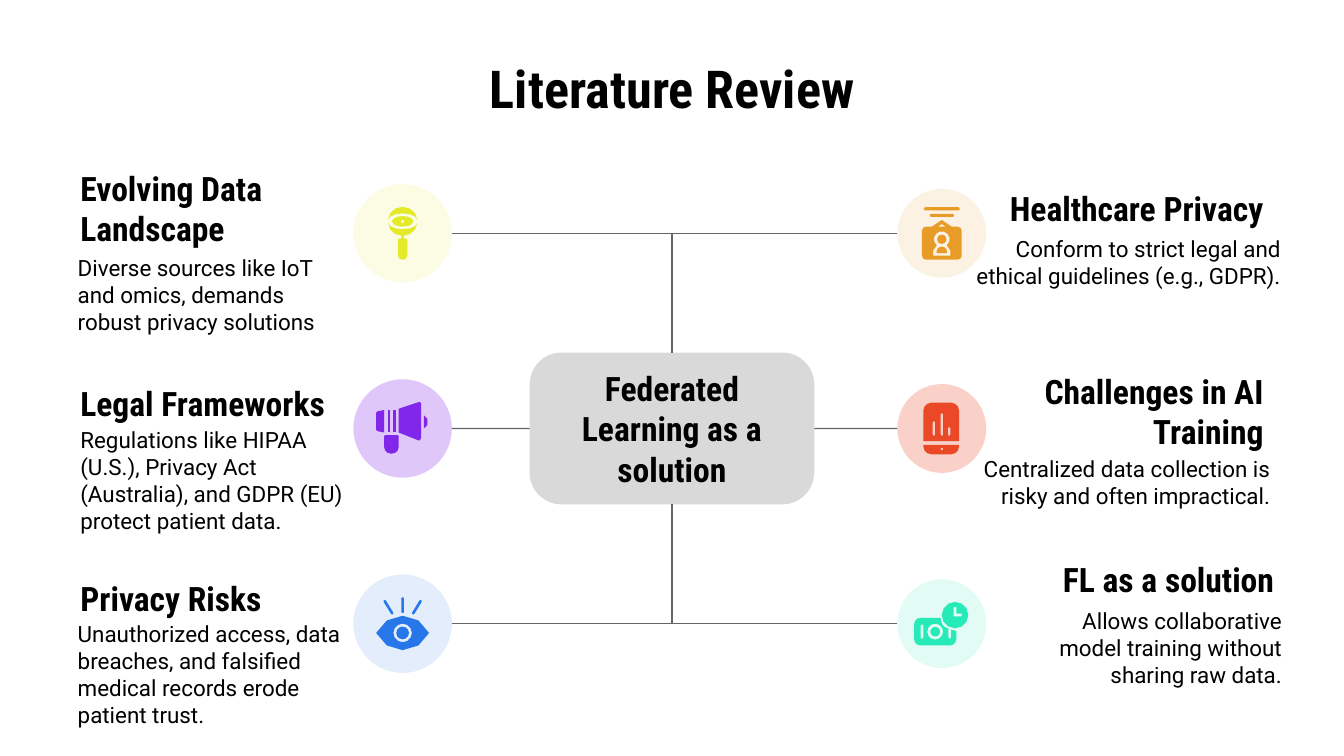
from math import atan2, cos, degrees, radians, sin

from lxml import etree
from pptx import Presentation
from pptx import util as u
from pptx.dml.color import RGBColor
from pptx.enum import shapes, text
from pptx.oxml import ns

BLACK = RGBColor(0x00, 0x00, 0x00)
GREY = RGBColor(0xD9, 0xD9, 0xD9)
LINE = RGBColor(0x66, 0x66, 0x66)
YELLOW = RGBColor(0xE4, 0xEA, 0x27)
PURPLE = RGBColor(0x80, 0x27, 0xEA)
BLUE = RGBColor(0x27, 0x76, 0xEA)
TEAL = RGBColor(0x26, 0xEA, 0xB8)
RED = RGBColor(0xEA, 0x48, 0x27)
ORANGE = RGBColor(0xE9, 0x9B, 0x27)

HEAD, BODY = "Roboto Condensed", "Roboto"
LEFT, CENTER, RIGHT = text.PP_ALIGN.LEFT, text.PP_ALIGN.CENTER, text.PP_ALIGN.RIGHT
MID_X, MID_Y, PITCH = 12.7, 8.1, 3.69
ROWS = [MID_Y + PITCH * i for i in (-1, 0, 1)]
LEFT_X, LEFT_D = 7.61, 1.86
RIGHT_X, RIGHT_D = 17.8, 1.68


def arc(cx, cy, rx, ry, start, end):
    if not rx:
        return [(cx, cy)]
    steps = max(1, round(abs(end - start) / (60 if rx <= 3 else 30)))
    angles = [radians(start + (end - start) * i / steps) for i in range(steps + 1)]
    return [(cx + rx * cos(a), cy + ry * sin(a)) for a in angles]


def circle(cx, cy, r):
    return arc(cx, cy, r, r, 0, 360)[:-1]


def capsule(x1, y1, x2, y2, r=1):
    a = degrees(atan2(y2 - y1, x2 - x1))
    return arc(x1, y1, r, r, a + 90, a + 270) + arc(x2, y2, r, r, a - 90, a + 90)


def rounded(l, t, r, b, top=0, bottom=0):
    return (arc(l + top, t + top, top, top, 180, 270)
            + arc(r - top, t + top, top, top, 270, 360)
            + arc(r - bottom, b - bottom, bottom, bottom, 0, 90)
            + arc(l + bottom, b - bottom, bottom, bottom, 90, 180))


MAGNIFIER = [
    [arc(0, -9, 8, 4, 0, 360), circle(0, -9, 1.3)],
    [arc(0, -10, 11, 10, 180, 360) + arc(0, -10, 11, 5, 360, 180)],
    [arc(0, -8, 11, 10, 180, 0) + arc(0, -8, 11, 5, 0, 180),
     rounded(-1, 2, 1, 4), rounded(-3.5, 4, 3.5, 20, 1, 3.5)],
]
MEGAPHONE = [
    [rounded(-14, 5, -3, 19, 1, 5)],
    [arc(16, -5, 3, 5, -90, 90)],
    [rounded(-7, -14, -5, 3)],
    [[(-14, -14), (-19, -13), (-20, -12), (-20, 1), (-19, 2), (-14, 3)]],
    [rounded(-11, -14, -9.5, 3)],
    [[(-3, -15), (12, -20), (13, -20), (14, -19), (14, 7), (13, 9), (12, 9), (-3, 3)]],
]
EYE = [
    [capsule(-13.5, -17, -8, -8)],
    [capsule(0, -19, 0, -9)],
    [capsule(13.5, -17, 8, -8)],
    [circle(0, 7, 4.8)],
    [arc(0, 15.9, 21.9, 21.9, 204, 336) + arc(0, -1.9, 21.9, 21.9, 24, 156),
     circle(0, 7, 7)],
]
BADGE = [
    [circle(0, 4.5, 3.5)],
    [arc(0, 14, 4, 4, 180, 360) + [(4, 15), (-4, 15)]],
    [arc(-12, -2, 3, 3, 180, 270) + [(-7.5, -5), (0, -10), (7.5, -5)]
     + arc(12, -2, 3, 3, 270, 360) + arc(12, 17, 3, 3, 0, 90) + arc(-12, 17, 3, 3, 90, 180),
     [(0, -7), (3, -5), (-3, -5)],
     arc(0, 4.5, 6, 6, 130, 410) + [(6.5, 13), (6.5, 17), (-6.5, 17), (-6.5, 13)]],
    [capsule(-12.5, -18.5, 12.5, -18.5, 1.2)],
    [capsule(-8, -13.5, 8, -13.5, 1.2)],
]
REPORT = [
    [rounded(-14, -19.5, 13, 9.5, 6), capsule(-6, -4.5, -6, 4.5),
     capsule(0, -10.5, 0, 4.5), capsule(5.5, 0, 5.5, 4.5)],
    [rounded(-14, 12.5, 13, 19.5, 0, 6), circle(0, 15.5, 1)],
]
MONEY = [
    [arc(-16, 0.5, 5, 5, 180, 270)
     + [(-1, -4.5), (0, 0), (2, 2.5), (5, 3.5), (5, 10.5), (6, 11.5), (7, 10.5), (7, 4.5),
        (11, 5.5)]
     + arc(6, 11.5, 5, 5, 0, 90) + arc(-16, 11.5, 5, 5, 90, 180),
     circle(-5, 6, 6), capsule(-15, 1.5, -15, 10.5)],
    [circle(10, -6.5, 10),
     [(9, -12.5), (11, -12.5), (11, -7.5), (15, -7.5), (15, -5.5), (9, -5.5)]],
    [circle(-5, 6, 3.7)],
]

ICONS = [
    (LEFT_X, ROWS[0], LEFT_D, YELLOW, 13, MAGNIFIER),
    (LEFT_X, ROWS[1], LEFT_D, PURPLE, 25, MEGAPHONE),
    (LEFT_X, ROWS[2], LEFT_D, BLUE, 13, EYE),
    (RIGHT_X, ROWS[0], RIGHT_D, ORANGE, 13, BADGE),
    (RIGHT_X, ROWS[1], RIGHT_D, RED, 25, REPORT),
    (RIGHT_X, ROWS[2], RIGHT_D, TEAL, 13, MONEY),
]
TOPICS = [
    (LEFT, "Evolving Data Landscape", (1.27, 3.48, 6.45, 0.91),
     "Diverse sources like IoT and omics, demands robust privacy solutions",
     (1.22, 5.11, 5.61, 0.91)),
    (LEFT, "Legal Frameworks", (1.27, 7.16, 5.51, 0.91),
     "Regulations like HIPAA (U.S.), Privacy Act (Australia), and GDPR (EU) "
     "protect patient data.", (1.27, 8.38, 5.79, 1.4)),
    (LEFT, "Privacy Risks", (1.27, 10.85, 5.51, 0.91),
     "Unauthorized access, data breaches, and falsified medical records erode "
     "patient trust.", (1.22, 12.29, 5.51, 0.91)),
    (RIGHT, "Healthcare Privacy", (18.62, 3.48, 5.51, 0.91),
     "Conform to strict legal and ethical guidelines (e.g., GDPR).",
     (18.11, 4.5, 6.35, 0.91)),
    (RIGHT, "Challenges in AI Training", (18.62, 7.32, 5.51, 0.91),
     "Centralized data collection is risky and often impractical.",
     (18.01, 8.66, 6.25, 0.91)),
    (RIGHT, "FL as a solution", (18.82, 10.49, 5.51, 0.91),
     "Allows collaborative model training without sharing raw data.",
     (18.97, 11.79, 5.51, 0.91)),
]


class Deck:
    def __init__(self, prs):
        self.s = prs.slides.add_slide(prs.slide_layouts[6])

    def paint(self, sp, color, alpha=100):
        sp.shadow.inherit = False
        sp.fill.solid()
        sp.fill.fore_color.rgb = color
        sp.line.fill.background()
        if alpha < 100:
            clr = sp._element.spPr.find(".//" + ns.qn("a:srgbClr"))
            etree.SubElement(clr, ns.qn("a:alpha"), val=str(alpha * 1000))
        return sp

    def shape(self, kind, cx, cy, w, h, color, alpha=100):
        box = [u.Cm(v) for v in (cx - w / 2, cy - h / 2, w, h)]
        return self.paint(self.s.shapes.add_shape(kind, *box), color, alpha)

    def text(self, words, box, size, font=BODY, align=LEFT):
        tf = self.s.shapes.add_textbox(*[u.Cm(v) for v in box]).text_frame
        tf.word_wrap = True
        tf.vertical_anchor = text.MSO_ANCHOR.MIDDLE
        tf.margin_left = tf.margin_right = tf.margin_top = tf.margin_bottom = u.Cm(0.25)
        p = tf.paragraphs[0]
        p.text = words
        p.alignment = align
        f = p.runs[0].font
        f.name, f.size, f.bold = font, u.Pt(size), font == HEAD
        f.color.rgb = BLACK

    def connector(self, x, y, box, site, bent):
        kind = shapes.MSO_CONNECTOR.ELBOW if bent else shapes.MSO_CONNECTOR.STRAIGHT
        c = self.s.shapes.add_connector(kind, u.Cm(x), u.Cm(y), u.Cm(x), u.Cm(y))
        c.end_connect(box, site)
        c.line.color.rgb = LINE
        c.line.width = u.Pt(0.75)
        pr = c._element.spPr
        etree.SubElement(pr, ns.qn("a:effectLst"))
        if bent:
            pr.find(ns.qn("a:prstGeom")).set("prst", "bentConnector2")

    def outline(self, rings, cx, cy, color):
        rings = [[(x * 25, y * 25) for x, y in ring] for ring in rings]
        fb = self.s.shapes.build_freeform(*rings[0][0], scale=360)
        for ring in rings:
            if ring is not rings[0]:
                fb.move_to(*ring[0])
            fb.add_line_segments(ring[1:], close=True)
        self.paint(fb.convert_to_shape(u.Cm(cx), u.Cm(cy)), color)


def main():
    prs = Presentation()
    prs.slide_width, prs.slide_height = u.Cm(25.4), u.Cm(14.29)
    d = Deck(prs)
    hub = d.shape(shapes.MSO_SHAPE.ROUNDED_RECTANGLE, MID_X, MID_Y, 5.38, 2.87, GREY)
    hub.adjustments[0] = 0.21
    d.text("Literature Review", (1.27, 1.14, 22.86, 1.04), 28, HEAD, CENTER)
    d.text("Federated Learning as a solution", (10.01, 7.21, 5.38, 1.78), 18, HEAD, CENTER)
    for x, y, size, color, alpha, parts in ICONS:
        d.shape(shapes.MSO_SHAPE.OVAL, x, y, size, size, color, alpha)
        on_left, level = x < MID_X, y == MID_Y
        edge = x + size / 2 if on_left else x - size / 2
        side = 1 if on_left else 3
        site = side if level else (0 if y < MID_Y else 2)
        d.connector(edge, y, hub, site, not level)
        for rings in parts:
            d.outline(rings, x, y, color)
    for align, title, title_box, body, body_box in TOPICS:
        d.text(title, title_box, 18, HEAD, align)
        d.text(body, body_box, 12, BODY, align)
    prs.save("out.pptx")


if __name__ == "__main__":
    main()
